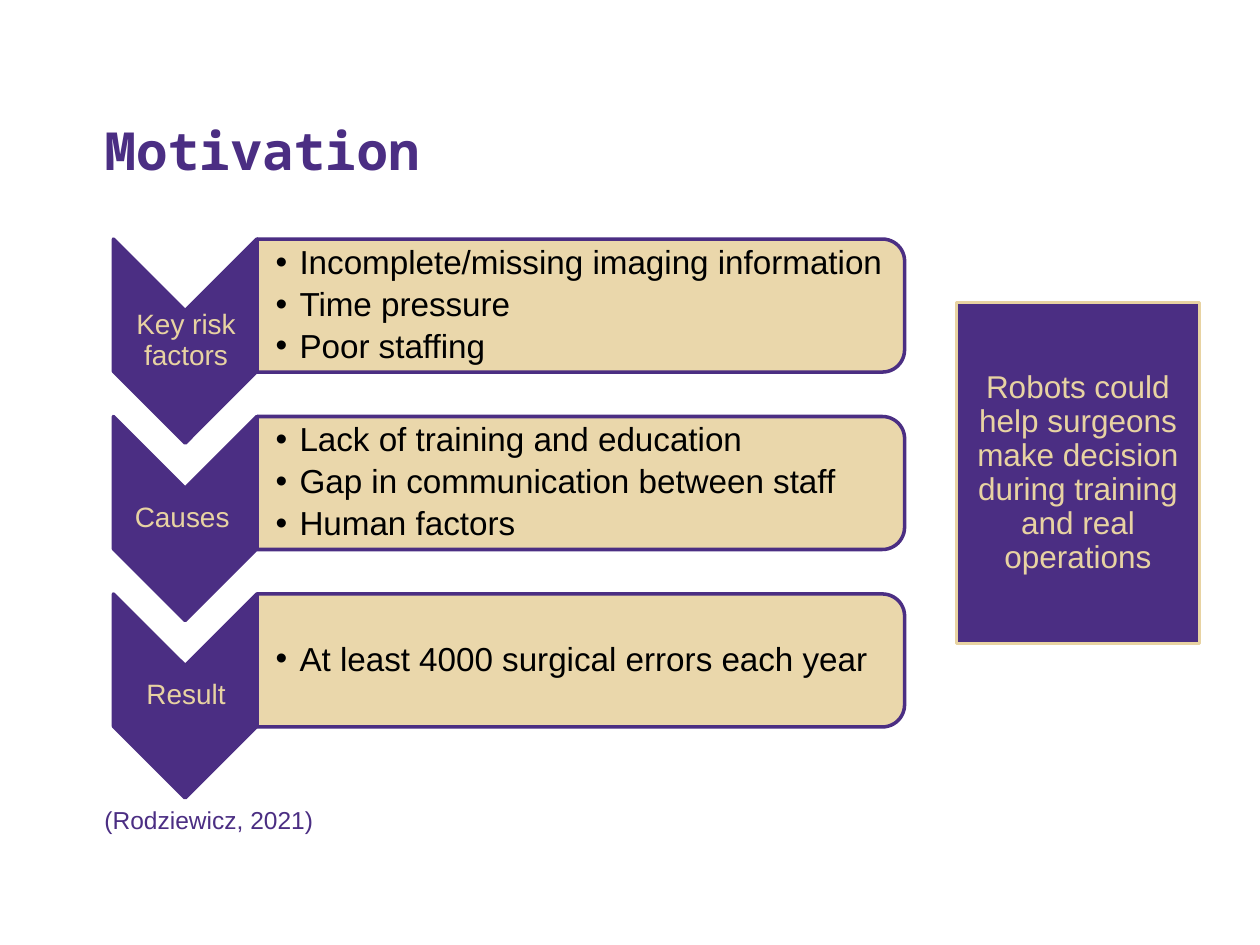
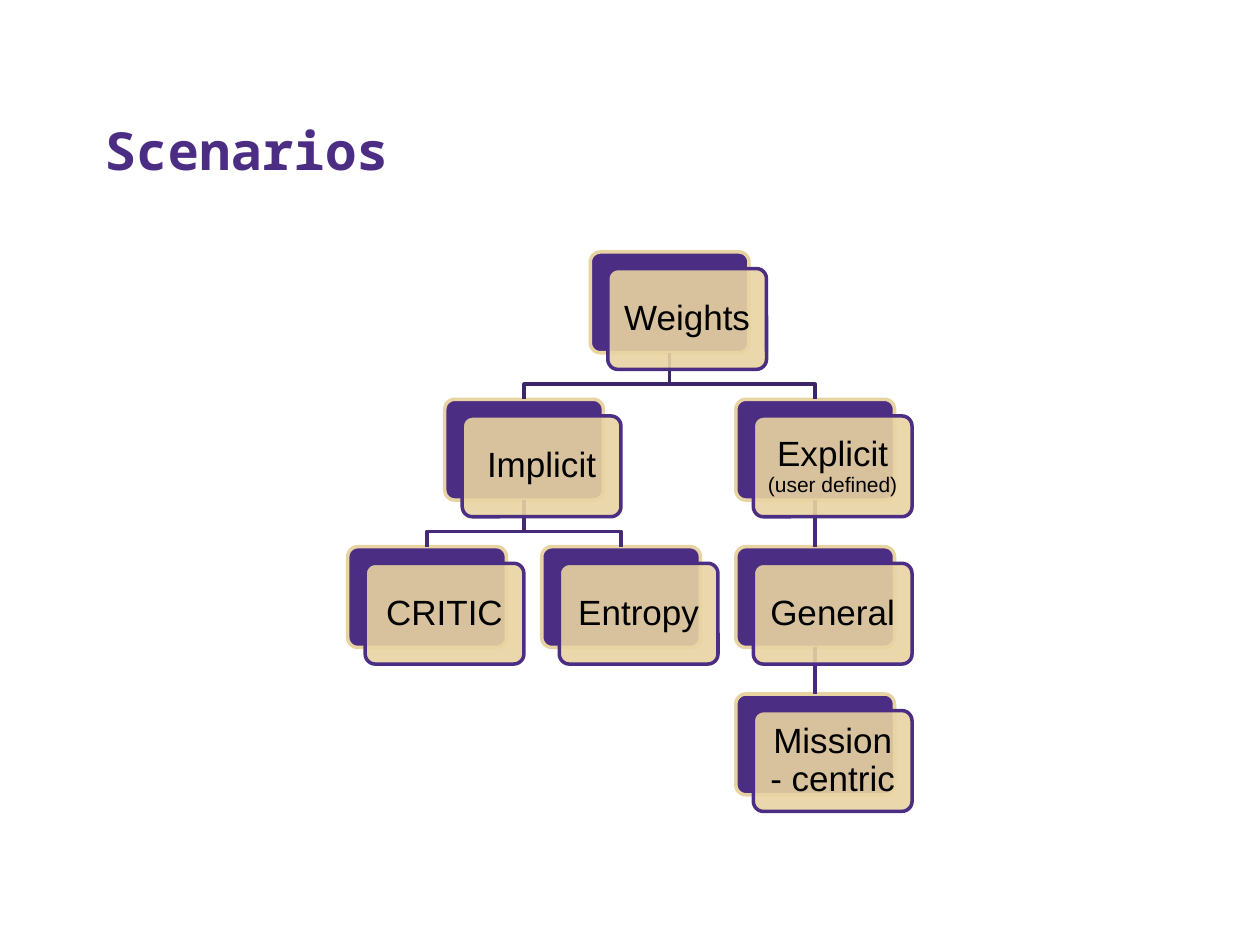
from dataclasses import dataclass
from typing import Optional

import lxml.etree
import pptx
import pptx.dml.color
import pptx.enum.shapes
import pptx.enum.text
import pptx.oxml.ns
import pptx.util

Pt = pptx.util.Pt
RGBColor = pptx.dml.color.RGBColor
Shapes = pptx.enum.shapes.MSO_SHAPE
Anchor = pptx.enum.text.MSO_ANCHOR
Align = pptx.enum.text.PP_ALIGN
AutoSize = pptx.enum.text.MSO_AUTO_SIZE
qn = pptx.oxml.ns.qn

PURPLE = RGBColor(0x4B, 0x2E, 0x83)
GOLD = RGBColor(0xE8, 0xD3, 0xA2)
BLACK = RGBColor(0x00, 0x00, 0x00)
TOP_LINK = RGBColor(0x3C, 0x25, 0x69)
LOWER_LINK = RGBColor(0x44, 0x2A, 0x77)
BODY_FONT = "Arial"
TITLE_FONT = "Noto Sans Mono"
TITLE_ONLY_LAYOUT = 5
LINE_WIDTH = 2
BOTTOM_SITE, TOP_SITE = 2, 0

ROW_TOP, ROW_PITCH = 136.6, 101.4
CHEVRON_LEFT, CHEVRON_WIDTH, CHEVRON_HEIGHT = 64.8, 82, 116.6
BAR_LEFT, BAR_WIDTH, BAR_HEIGHT = 146.9, 370, 76

CARD_WIDTH, CARD_HEIGHT = 90.7, 57.6
TREE_LEFT, TREE_TOP = 198.7, 144
COLUMN_PITCH, LEVEL_PITCH = 110.9, 84.2
CARD_SHIFT_X, CARD_SHIFT_Y = 10, 9.5
LINK_BEND = 18


@dataclass(frozen=True)
class Box:
    left: float
    top: float
    width: float
    height: float

    def lengths(self) -> tuple:
        return Pt(self.left), Pt(self.top), Pt(self.width), Pt(self.height)

    def before_quarter_turn(self) -> "Box":
        change = (self.width - self.height) / 2
        return Box(self.left + change, self.top - change, self.height, self.width)


@dataclass(frozen=True)
class Run:
    text: str
    size: float


@dataclass(frozen=True)
class RiskRow:
    label: str
    bullets: tuple[str, ...]


@dataclass(frozen=True)
class Card:
    name: str
    column: float
    level: int
    parent: Optional[str] = None
    details: tuple[Run, ...] = ()

    def box(self) -> Box:
        return Box(TREE_LEFT + self.column * COLUMN_PITCH,
                   TREE_TOP + self.level * LEVEL_PITCH, CARD_WIDTH, CARD_HEIGHT)


RISK_ROWS = (
    RiskRow("Key risk factors", ("Incomplete/missing imaging information",
                                 "Time pressure", "Poor staffing")),
    RiskRow("Causes ", ("Lack of training and education",
                        "Gap in communication between staff", "Human factors")),
    RiskRow("Result", ("At least 4000 surgical errors each year",)),
)

CARDS = (
    Card("Weights", 1.25, 0),
    Card("Implicit", 0.5, 1, "Weights"),
    Card("CRITIC", 0, 2, "Implicit"),
    Card("Entropy", 1, 2, "Implicit"),
    Card("Explicit", 2, 1, "Weights", (Run(" ", 14), Run("(user defined)", 12))),
    Card("General", 2, 2, "Explicit"),
    Card("Mission - centric", 2, 3, "General"),
)


def add_bullet(paragraph) -> None:
    properties = paragraph._p.get_or_add_pPr()
    properties.set("marL", str(Pt(13.7)))
    properties.set("indent", str(-Pt(13.7)))
    lxml.etree.SubElement(properties, qn("a:buFont"), typeface=BODY_FONT)
    lxml.etree.SubElement(properties, qn("a:buChar"), char="•")


def write_text(frame, paragraphs, *, size=18, color=BLACK, font=BODY_FONT, bold=False,
               align=Align.CENTER, anchor=Anchor.MIDDLE, margins=(0.7, 0.7, 0.7, 0.7),
               spacing=0.9, space_after=0, bullets=False, wrap=True,
               auto_size=AutoSize.NONE) -> None:
    frame.auto_size = auto_size
    frame.word_wrap = wrap
    frame.vertical_anchor = anchor
    (frame.margin_left, frame.margin_top,
     frame.margin_right, frame.margin_bottom) = map(Pt, margins)
    for index, content in enumerate(paragraphs):
        paragraph = frame.add_paragraph() if index else frame.paragraphs[0]
        paragraph.alignment = align
        paragraph.line_spacing = spacing
        paragraph.space_before = Pt(0)
        paragraph.space_after = Pt(space_after)
        if bullets:
            add_bullet(paragraph)
        for part in (Run(content, size),) if isinstance(content, str) else content:
            run = paragraph.add_run()
            run.text = part.text
            run.font.size = Pt(part.size)
            run.font.name = font
            run.font.bold = bold
            run.font.color.rgb = color


def style_line(line, color: RGBColor) -> None:
    line.color.rgb = color
    line.width = Pt(LINE_WIDTH)


def add_panel(slide, kind, box: Box, fill: RGBColor, outline: RGBColor, *,
              opacity: int = 100, turned: bool = False):
    place = box.before_quarter_turn() if turned else box
    shape = slide.shapes.add_shape(kind, *place.lengths())
    shape.shadow.inherit = False
    shape.rotation = 90 if turned else 0
    shape.fill.solid()
    shape.fill.fore_color.rgb = fill
    style_line(shape.line, outline)
    if opacity < 100:
        color = shape._element.spPr.find(qn("a:solidFill"))[0]
        lxml.etree.SubElement(color, qn("a:alpha"), val=str(opacity * 1000))
    return shape


def add_text_box(slide, box: Box, paragraphs, **text_format) -> None:
    shape = slide.shapes.add_textbox(*box.lengths())
    write_text(shape.text_frame, paragraphs, **text_format)


def add_titled_slide(presentation, title: str):
    slide = presentation.slides.add_slide(presentation.slide_layouts[TITLE_ONLY_LAYOUT])
    shape = slide.shapes.title
    shape.left, shape.top, shape.width, shape.height = Box(52.6, 29.5, 639.4, 77.8).lengths()
    write_text(shape.text_frame, (title,), size=30, color=PURPLE, font=TITLE_FONT, bold=True,
               align=Align.LEFT, anchor=Anchor.BOTTOM, margins=(7.2, 3.6, 7.2, 3.6), spacing=1.0)
    return slide


def add_risk_row(slide, row: RiskRow, top: float) -> None:
    chevron = Box(CHEVRON_LEFT, top, CHEVRON_WIDTH, CHEVRON_HEIGHT)
    add_panel(slide, Shapes.CHEVRON, chevron, PURPLE, PURPLE, turned=True)
    add_text_box(slide, Box(CHEVRON_LEFT + 0.5, top + 40.6, CHEVRON_WIDTH, 35.3),
                 (row.label,), size=16, color=GOLD)
    bar = Box(BAR_LEFT, top, BAR_WIDTH, BAR_HEIGHT)
    add_panel(slide, Shapes.ROUND_2_SAME_RECTANGLE, bar, GOLD, PURPLE, opacity=90, turned=True)
    add_text_box(slide, Box(BAR_LEFT, top + 3.8, BAR_WIDTH - 3.6, BAR_HEIGHT - 7.6),
                 row.bullets, size=19, align=Align.LEFT, margins=(10.6, 0.7, 0.7, 0.7),
                 space_after=3.4, bullets=True)


def add_link(slide, parent_shape, child_shape, color: RGBColor) -> None:
    start_x = parent_shape.left + parent_shape.width // 2
    start_y = parent_shape.top + parent_shape.height
    end_x, end_y = child_shape.left + child_shape.width // 2, child_shape.top
    if start_x == end_x:
        link = slide.shapes.add_connector(pptx.enum.shapes.MSO_CONNECTOR.STRAIGHT,
                                          start_x, start_y, end_x, end_y)
        link.begin_connect(parent_shape, BOTTOM_SITE)
        link.end_connect(child_shape, TOP_SITE)
        style_line(link.line, color)
        lxml.etree.SubElement(link._element.spPr, qn("a:effectLst"))
        return
    bend_y = start_y + Pt(LINK_BEND)
    builder = slide.shapes.build_freeform(start_x, start_y)
    builder.add_line_segments(((start_x, bend_y), (end_x, bend_y), (end_x, end_y)), close=False)
    link = builder.convert_to_shape()
    link.shadow.inherit = False
    link.fill.background()
    style_line(link.line, color)


def add_card_back(slide, card: Card):
    shape = add_panel(slide, Shapes.ROUNDED_RECTANGLE, card.box(), PURPLE, GOLD)
    shape.adjustments[0] = 0.1
    return shape


def add_card_front(slide, card: Card) -> None:
    back = card.box()
    front = Box(back.left + CARD_SHIFT_X, back.top + CARD_SHIFT_Y, back.width, back.height)
    shape = add_panel(slide, Shapes.ROUNDED_RECTANGLE, front, GOLD, PURPLE, opacity=90)
    shape.adjustments[0] = 0.1
    write_text(shape.text_frame, ((Run(card.name, 20), *card.details),),
               margins=(5.8, 5.8, 5.8, 5.8))


def build_motivation(presentation) -> None:
    slide = add_titled_slide(presentation, "Motivation")
    for index, row in enumerate(RISK_ROWS):
        add_risk_row(slide, row, ROW_TOP + index * ROW_PITCH)
    add_text_box(slide, Box(52.6, 456.5, 134.6, 24.5), ("(Rodziewicz, 2021)",), size=14,
                 color=PURPLE, align=Align.LEFT, anchor=Anchor.TOP, spacing=1.0,
                 margins=(7.2, 3.6, 7.2, 3.6), wrap=False,
                 auto_size=AutoSize.SHAPE_TO_FIT_TEXT)
    conclusion = add_panel(slide, Shapes.RECTANGLE, Box(546.5, 172.8, 139, 195), PURPLE, GOLD)
    write_text(conclusion.text_frame,
               ("Robots could help surgeons make decision during training and real operations",),
               color=GOLD, margins=(10, 10, 10, 10))


def build_scenarios(presentation) -> None:
    slide = add_titled_slide(presentation, "Scenarios")
    backs = {card.name: add_card_back(slide, card) for card in CARDS}
    for card in CARDS:
        if card.parent:
            color = TOP_LINK if card.level == 1 else LOWER_LINK
            add_link(slide, backs[card.parent], backs[card.name], color)
    for card in CARDS:
        add_card_front(slide, card)


def main() -> None:
    presentation = pptx.Presentation()
    presentation.slide_width = Pt(720)
    presentation.slide_height = Pt(540)
    build_motivation(presentation)
    build_scenarios(presentation)
    presentation.save("out.pptx")


if __name__ == "__main__":
    main()
